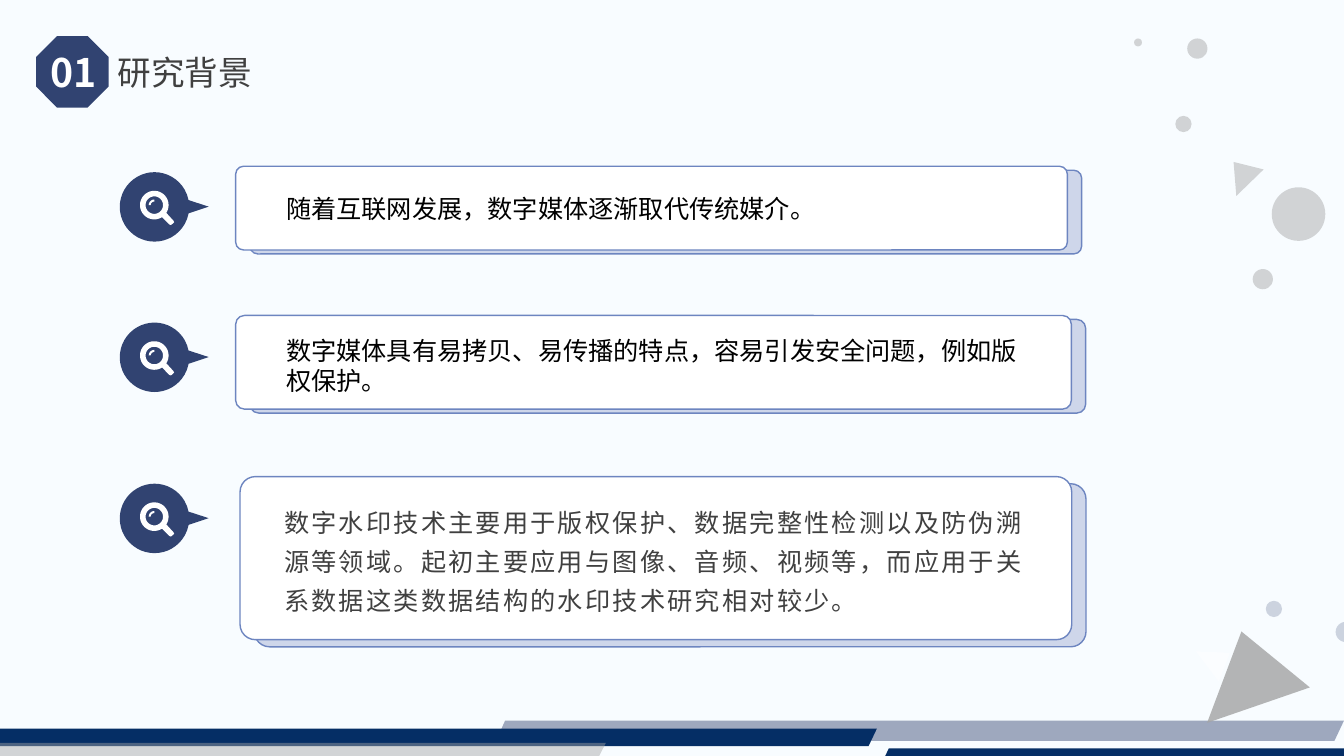
from dataclasses import dataclass
from math import cos, radians, sin

from lxml import etree
from pptx import Presentation, util as u
from pptx.dml.color import RGBColor
from pptx.enum import shapes, text
from pptx.oxml import ns

KIND = shapes.MSO_SHAPE


@dataclass(frozen=True)
class Theme:
    font: str = "Noto Sans CJK SC"
    back: str = "F8FCFF"
    navy: str = "314371"
    deep: str = "052E65"
    gray: str = "A5A5A5"
    dim: str = "7F7F7F"
    white: str = "FFFFFF"
    black: str = "000000"
    ink: str = "404040"
    shade: str = "CED6EA"
    edge: str = "6D85C0"
    number: int = 28
    title: int = 24
    body: int = 18


THEME = Theme()


def paint(shape, color, alpha=100, edge=None):
    shape.shadow.inherit = False
    shape.fill.solid()
    shape.fill.fore_color.rgb = RGBColor.from_string(color)
    if alpha < 100:
        tint = shape.fill._xPr.find(".//" + ns.qn("a:srgbClr"))
        etree.SubElement(tint, ns.qn("a:alpha"), val=str(alpha * 1000))
    if edge:
        shape.line.color.rgb = RGBColor.from_string(edge)
        shape.line.width = u.Pt(1)
    else:
        shape.line.fill.background()


def add_form(slide, kind, box, color, alpha=100, edge=None, turn=0, bends=()):
    form = slide.shapes.add_shape(kind, *map(u.Cm, box))
    form.rotation = turn
    for index, bend in enumerate(bends):
        form.adjustments[index] = bend
    paint(form, color, alpha, edge)


def add_path(slide, rings, color, alpha=100):
    rings = [[(u.Cm(x), u.Cm(y)) for x, y in ring] for ring in rings]
    pen = slide.shapes.build_freeform(*rings[0][0])
    pen.add_line_segments(rings[0][1:])
    for ring in rings[1:]:
        pen.move_to(*ring[0])
        pen.add_line_segments(ring[1:])
    paint(pen.convert_to_shape(), color, alpha)


def add_text(slide, box, lines, size, color, bold=False, align=None,
             wrap=True, inset=(0.25, 0.13), lead=None, before=None, track=0):
    frame = slide.shapes.add_textbox(*map(u.Cm, box)).text_frame
    frame.word_wrap = wrap
    frame.auto_size = text.MSO_AUTO_SIZE.SHAPE_TO_FIT_TEXT
    frame.margin_left = frame.margin_right = u.Cm(inset[0])
    frame.margin_top = frame.margin_bottom = u.Cm(inset[1])
    for index, line in enumerate(lines):
        para = frame.add_paragraph() if index else frame.paragraphs[0]
        para.alignment = align
        para.line_spacing = lead
        para.space_before = before
        run = para.add_run()
        run.text = line
        run.font.size = u.Pt(size)
        run.font.bold = bold
        run.font.name = THEME.font
        run.font.color.rgb = RGBColor.from_string(color)
        props = run.font._element
        etree.SubElement(props, ns.qn("a:ea"), typeface=THEME.font)
        if track:
            props.set("spc", str(track))


def arc(x, y, size, start, end):
    steps = 40
    turns = [radians(start + (end - start) * i / steps) for i in range(steps + 1)]
    return [(x + size * cos(turn), y + size * sin(turn)) for turn in turns]


def add_lens(slide, left, top):
    x, y = left + 0.36, top + 0.36
    grip = [(0.84, 0.75), (0.86, 0.79), (0.82, 0.83), (0.78, 0.86), (0.74, 0.85)]
    rim = arc(x, y, 0.36, 57, 393) + [(left + a, top + b) for a, b in grip]
    hole = arc(x, y, 0.22, 360, 0)
    glint = arc(x, y, 0.14, 180, 270) + arc(x, y, 0.09, 270, 180)
    add_path(slide, [rim, hole, glint], THEME.white)


def add_pin(slide, top):
    left = 3.02
    add_form(slide, KIND.OVAL_CALLOUT, (left, top, 1.75, 1.75), THEME.navy,
             bends=(0.781, -0.004))
    add_lens(slide, left + 0.51, top + 0.47)


def add_card(slide, left, top, width, height, drop):
    for shift, fall, color in ((0.36, drop, THEME.shade), (0, 0, THEME.white)):
        add_form(slide, KIND.ROUNDED_RECTANGLE,
                 (left + shift, top + fall, width, height), color,
                 edge=THEME.edge, bends=(0.094,))


def add_decor(slide):
    bars = [
        ([(22.4, 18.86), (33.87, 18.86), (33.87, 19.05), (22.31, 19.05)], THEME.deep, 100),
        ([(12.73, 18.16), (33.87, 18.16), (33.63, 18.67), (12.5, 18.67)], THEME.navy, 45),
        ([(0, 18.36), (22.1, 18.36), (21.89, 18.8), (0, 18.8)], THEME.deep, 100),
        ([(0, 18.72), (15.27, 18.72), (15.1, 19.05), (0, 19.05)], THEME.gray, 45),
    ]
    for points, color, alpha in bars:
        add_path(slide, [points], color, alpha)
    wedges = [
        ((30.61, 16.38, 2.46, 2.11), 110.6, THEME.gray, 82),
        ((30.12, 16.43, 0.86, 0.74), 182.5, THEME.white, 55),
        ((31.06, 4.11, 0.86, 0.74), 85.4, THEME.dim, 32),
    ]
    for box, turn, color, alpha in wedges:
        add_form(slide, KIND.ISOSCELES_TRIANGLE, box, color, alpha,
                 turn=turn, bends=(0.29,))
    dots = {
        (THEME.navy, 22): [(33.66, 15.67, 0.51), (31.9, 15.14, 0.41)],
        (THEME.dim, 32): [(32.05, 4.72, 1.35), (29.92, 0.97, 0.51),
                          (28.58, 0.97, 0.2), (29.62, 2.92, 0.41),
                          (31.57, 6.78, 0.51)],
    }
    for (color, alpha), spots in dots.items():
        for left, top, size in spots:
            add_form(slide, KIND.OVAL, (left, top, size, size), color, alpha)


def add_head(slide):
    add_form(slide, KIND.OCTAGON, (0.91, 0.91, 1.83, 1.8), THEME.navy)
    add_text(slide, (0.97, 1.09, 1.75, 1.45), ["01"], THEME.number, THEME.white,
             bold=True, align=text.PP_ALIGN.CENTER)
    add_text(slide, (2.72, 1.17, 9.73, 1.27), ["研究背景"], THEME.title, THEME.ink)


def main():
    deck = Presentation()
    deck.slide_width, deck.slide_height = u.Cm(33.87), u.Cm(19.05)
    slide = deck.slides.add_slide(deck.slide_layouts[6])
    slide.background.fill.solid()
    slide.background.fill.fore_color.rgb = RGBColor.from_string(THEME.back)

    add_decor(slide)
    add_head(slide)
    add_card(slide, 5.94, 4.19, 20.96, 2.11, 0.1)
    add_card(slide, 5.94, 7.95, 21.06, 2.36, 0.1)
    add_card(slide, 6.05, 12.01, 20.96, 4.11, 0.18)
    for top in (4.34, 8.13, 12.19):
        add_pin(slide, top)

    add_text(slide, (6.96, 4.75, 13.84, 1.02),
             ["随着互联网发展，数字媒体逐渐取代传统媒介。"],
             THEME.body, THEME.black, wrap=False)
    add_text(slide, (6.96, 8.31, 18.92, 1.8),
             ["数字媒体具有易拷贝、易传播的特点，容易引发安全问题，例如版", "权保护。"],
             THEME.body, THEME.black, wrap=False)
    add_text(slide, (6.96, 12.45, 19.15, 3.2),
             ["数字水印技术主要用于版权保护、数据完整性检测以及防伪溯源等领域。"
              "起初主要应用与图像、音频、视频等，而应用于关系数据这类数据结构的"
              "水印技术研究相对较少。"],
             THEME.body, THEME.ink, inset=(0.2, 0.1), lead=1.3,
             before=u.Pt(8), track=160)
    deck.save("out.pptx")


if __name__ == "__main__":
    main()
